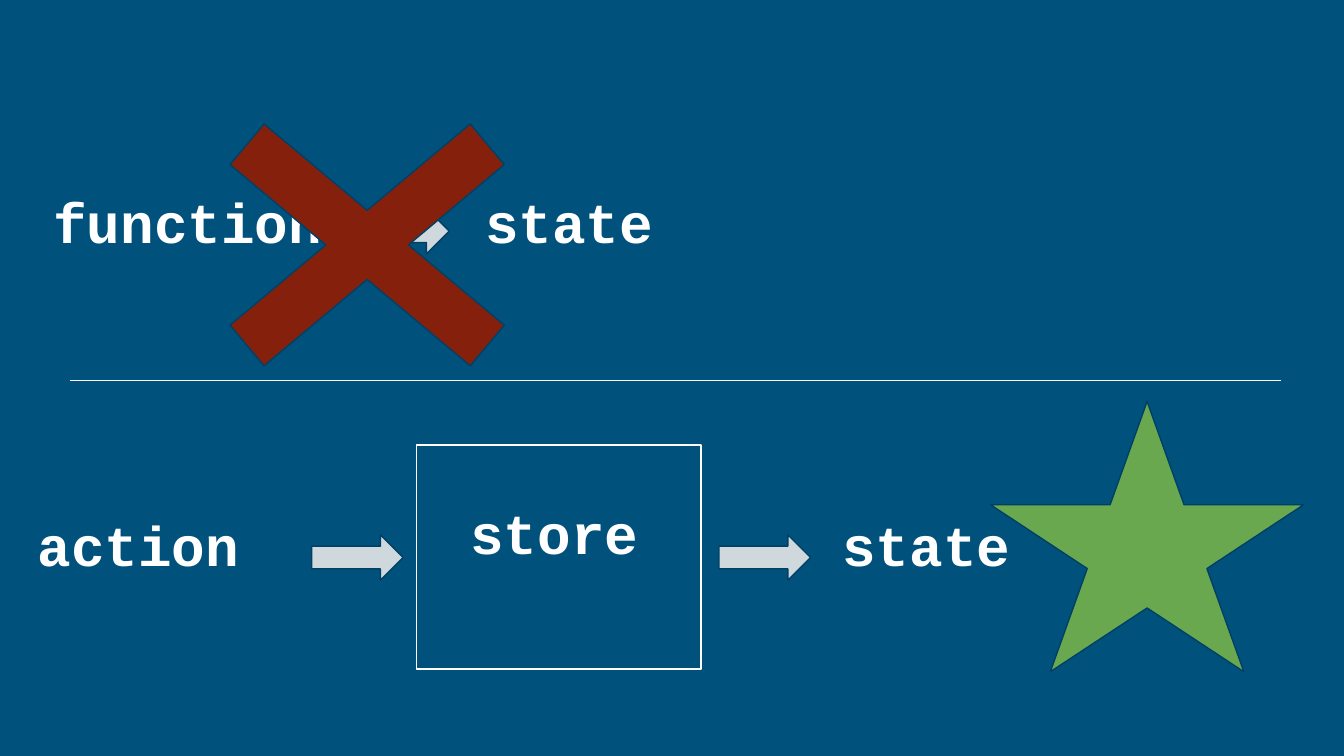
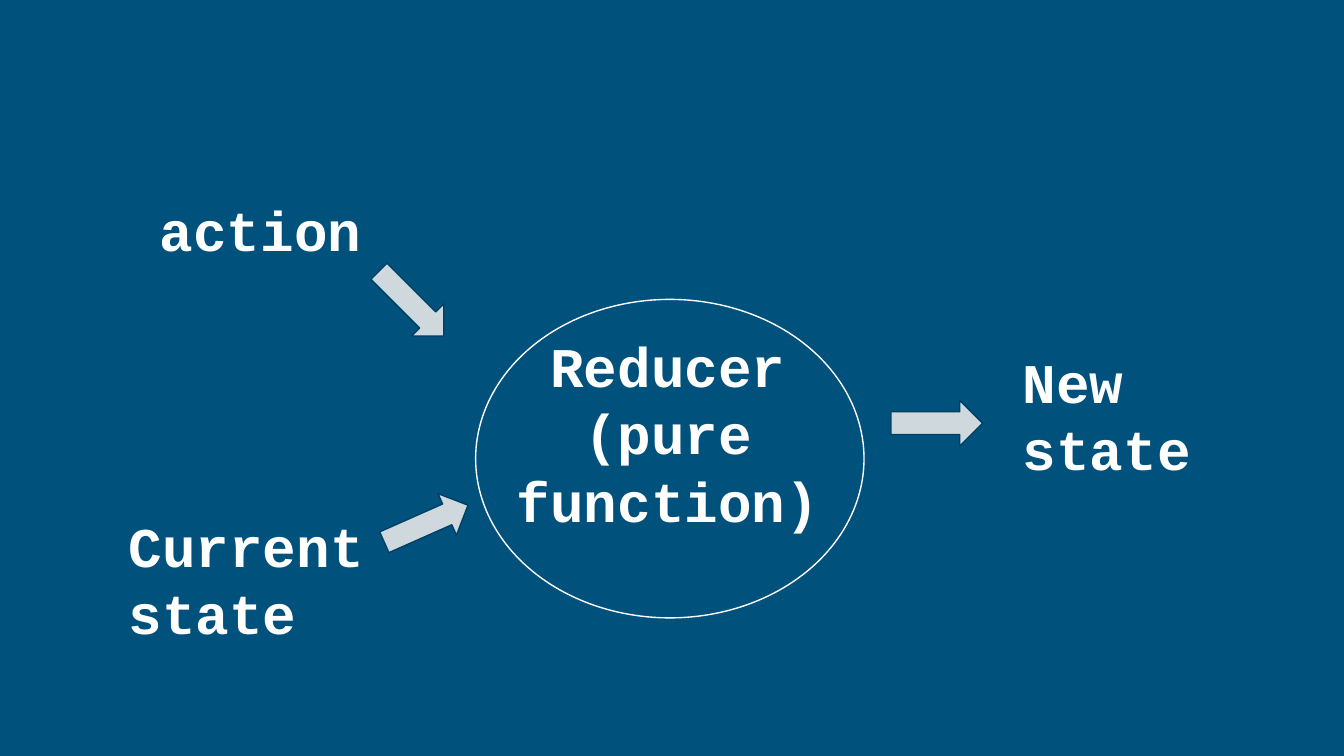
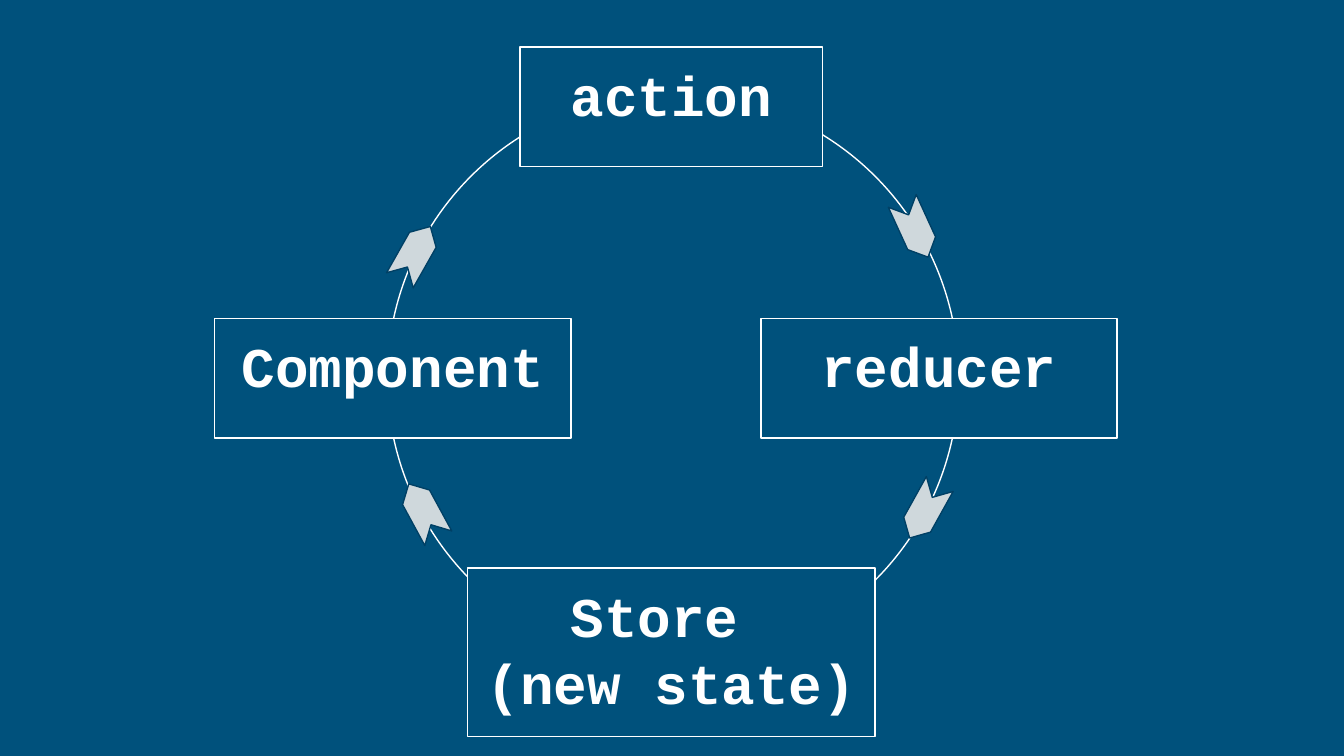
from dataclasses import dataclass

from lxml.etree import SubElement
from pptx import Presentation
from pptx.dml.color import RGBColor
from pptx.enum.shapes import MSO_CONNECTOR as Connector, MSO_SHAPE as Preset
from pptx.enum.text import MSO_ANCHOR as Anchor, PP_ALIGN as Align
from pptx.oxml.ns import qn
from pptx.slide import Slide
from pptx.util import Cm, Pt

# Shared look
NAVY, WHITE, GREY, DARK = "00517C", "FFFFFF", "CFD8DC", "004065"
RED, GREEN = "85200C", "6AA84F"
FONT, FONT_SIZE = "Courier New", Pt(30)
LINE_WIDTH = Pt(0.75)
INSET = Cm(0.25)
LABEL_WIDTH, LABEL_HEIGHT = 5.72, 2.26
BLANK_LAYOUT = 6


@dataclass
class Label:
    """Text in a box; a new line starts a paragraph, a vertical tab breaks a line."""
    text: str
    left: float
    top: float
    width: float = LABEL_WIDTH
    height: float = LABEL_HEIGHT
    align: Align = Align.LEFT


@dataclass
class Figure:
    preset: Preset
    left: float
    top: float
    width: float
    height: float
    fill: str | None = None
    line: str = DARK
    rotation: float = 0
    adjustment: float | None = None


def colour(value: str) -> RGBColor:
    return RGBColor.from_string(value)


def arrow(left: float, top: float, rotation: float = 0) -> Figure:
    return Figure(Preset.RIGHT_ARROW, left, top, 1.73, 0.86, GREY, rotation=rotation)


def chevron(left: float, top: float, rotation: float) -> Figure:
    return Figure(Preset.CHEVRON, left, top, 1.17, 0.58, GREY, rotation=rotation)


def write_text(shape, text: str, align: Align) -> None:
    frame = shape.text_frame
    frame.word_wrap = True
    frame.vertical_anchor = Anchor.TOP
    frame.margin_left = frame.margin_right = INSET
    frame.margin_top = frame.margin_bottom = INSET
    for index, line in enumerate(text.split("\n")):
        paragraph = frame.add_paragraph() if index else frame.paragraphs[0]
        paragraph.alignment = align
        for position, part in enumerate(line.split("\v")):
            if position:
                paragraph.add_line_break()
            run = paragraph.add_run()
            run.text = part
            run.font.name = FONT
            run.font.size = FONT_SIZE
            run.font.bold = True
            run.font.color.rgb = colour(WHITE)


def draw_label(slide: Slide, label: Label) -> None:
    box = slide.shapes.add_textbox(
        Cm(label.left), Cm(label.top), Cm(label.width), Cm(label.height))
    write_text(box, label.text, label.align)


def draw_figure(slide: Slide, figure: Figure):
    shape = slide.shapes.add_shape(
        figure.preset, Cm(figure.left), Cm(figure.top), Cm(figure.width), Cm(figure.height))
    shape.shadow.inherit = False
    shape.rotation = figure.rotation
    if figure.fill:
        shape.fill.solid()
        shape.fill.fore_color.rgb = colour(figure.fill)
    else:
        shape.fill.background()
    shape.line.color.rgb = colour(figure.line)
    shape.line.width = LINE_WIDTH
    if figure.adjustment is not None:
        shape.adjustments[0] = figure.adjustment
    return shape


def draw_framed_label(slide: Slide, label: Label) -> None:
    frame = Figure(Preset.RECTANGLE, label.left, label.top, label.width, label.height,
                   NAVY, WHITE)
    write_text(draw_figure(slide, frame), label.text, Align.CENTER)


def draw_divider(slide: Slide, left: float, right: float, top: float) -> None:
    divider = slide.shapes.add_connector(
        Connector.STRAIGHT, Cm(left), Cm(top), Cm(right), Cm(top))
    divider.line.color.rgb = colour(WHITE)
    divider.line.width = LINE_WIDTH
    SubElement(divider._element.spPr, qn("a:effectLst"))


def draw_parts(slide: Slide, parts: list[Label | Figure]) -> None:
    for part in parts:
        if isinstance(part, Label):
            draw_label(slide, part)
        else:
            draw_figure(slide, part)


def build_store_slide(slide: Slide) -> None:
    flow_top, arrow_top, function_top = 9.4, 10.11, 3.3
    draw_parts(slide, [
        # Action to store to state
        Label("action", 0.46, flow_top),
        Label("state", 15.67, flow_top),
        Label("store", 8.64, 9.17),
        Figure(Preset.RECTANGLE, 7.87, 8.41, 5.38, 4.24, line=WHITE),
        arrow(5.89, arrow_top),
        arrow(13.59, arrow_top),
        # Function to state, crossed out
        Label("function", 0.76, function_top),
        Label("state", 8.92, function_top),
        arrow(6.76, 3.94),
        Figure(Preset.MATH_MULTIPLY, 2.57, 0.97, 8.74, 7.32, RED, adjustment=0.137),
    ])
    draw_divider(slide, 1.32, 24.21, 7.19)
    draw_figure(slide, Figure(Preset.STAR_5_POINT, 18.72, 7.59, 5.92, 5.11, GREEN))


def build_reducer_slide(slide: Slide) -> None:
    draw_parts(slide, [
        Label("action", 2.77, 3.45),
        Label("Current\nstate", 2.18, 9.42),
        Label("Reducer (pure function)", 8.89, 6.02, 7.47, 4.62, Align.CENTER),
        arrow(6.91, 5.31, 45),
        arrow(16.84, 7.57),
        Label("New\nstate", 19.08, 6.32),
        arrow(7.19, 9.47, 336.1),
        Figure(Preset.OVAL, 8.99, 5.66, 7.34, 6.02, line=WHITE),
    ])


def build_cycle_slide(slide: Slide) -> None:
    # Ring behind the four stages
    draw_figure(slide, Figure(Preset.OVAL, 7.32, 1.75, 10.8, 10.8, line=WHITE))
    side_top, side_width = 6.02, 6.73
    for stage in (
        Label("action", 9.83, 0.89),
        Label("Component", 4.06, side_top, side_width),
        Label("reducer", 14.38, side_top, side_width),
        Label("Store \v(new state)", 8.84, 10.74, 7.7, 3.18),
    ):
        draw_framed_label(slide, stage)
    # Direction marks on the ring
    draw_parts(slide, [
        chevron(7.26, 4.5, 299.5),
        chevron(7.42, 9.37, 241.5),
        chevron(16.71, 4.04, 65.4),
        chevron(16.89, 9.37, 119.1),
    ])


def main() -> None:
    presentation = Presentation()
    presentation.slide_width = Cm(25.4)
    presentation.slide_height = Cm(14.29)
    background = presentation.slide_master.background.fill
    background.solid()
    background.fore_color.rgb = colour(NAVY)
    layout = presentation.slide_layouts[BLANK_LAYOUT]
    for build in (build_store_slide, build_reducer_slide, build_cycle_slide):
        build(presentation.slides.add_slide(layout))
    presentation.save("out.pptx")


if __name__ == "__main__":
    main()
